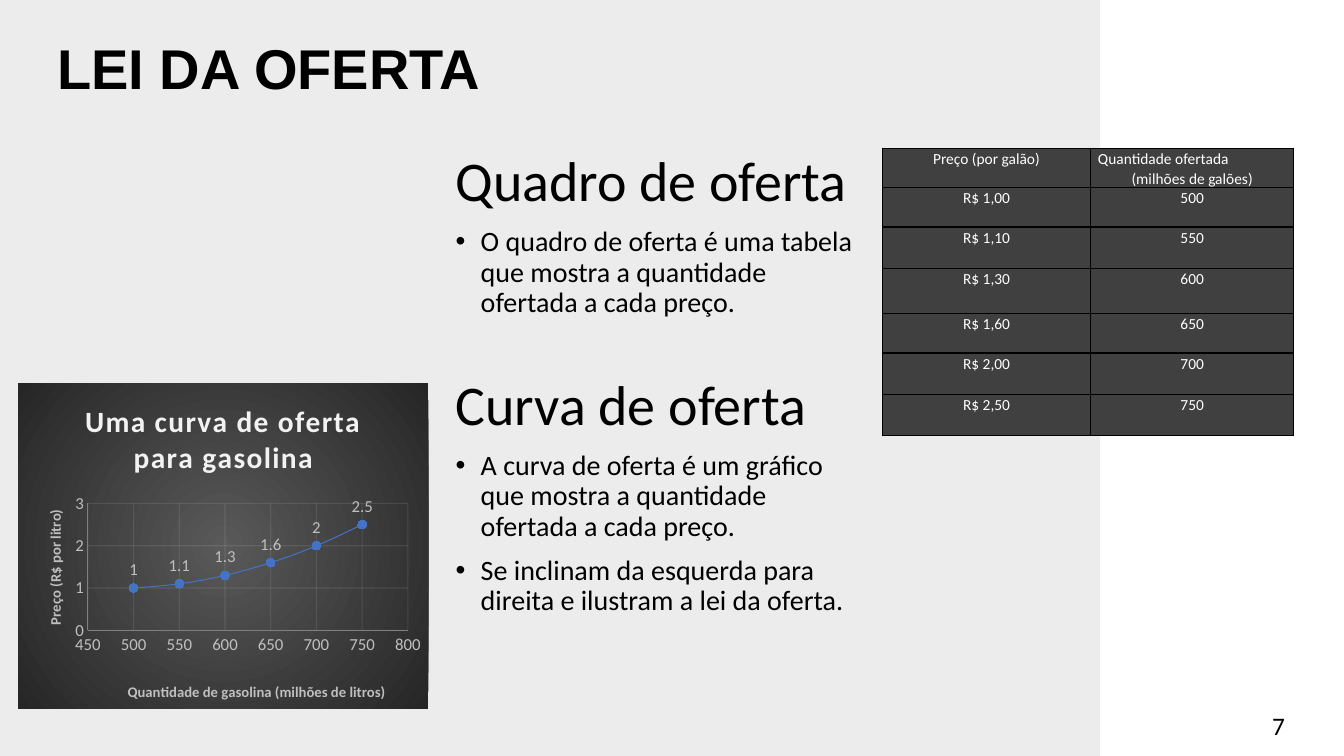
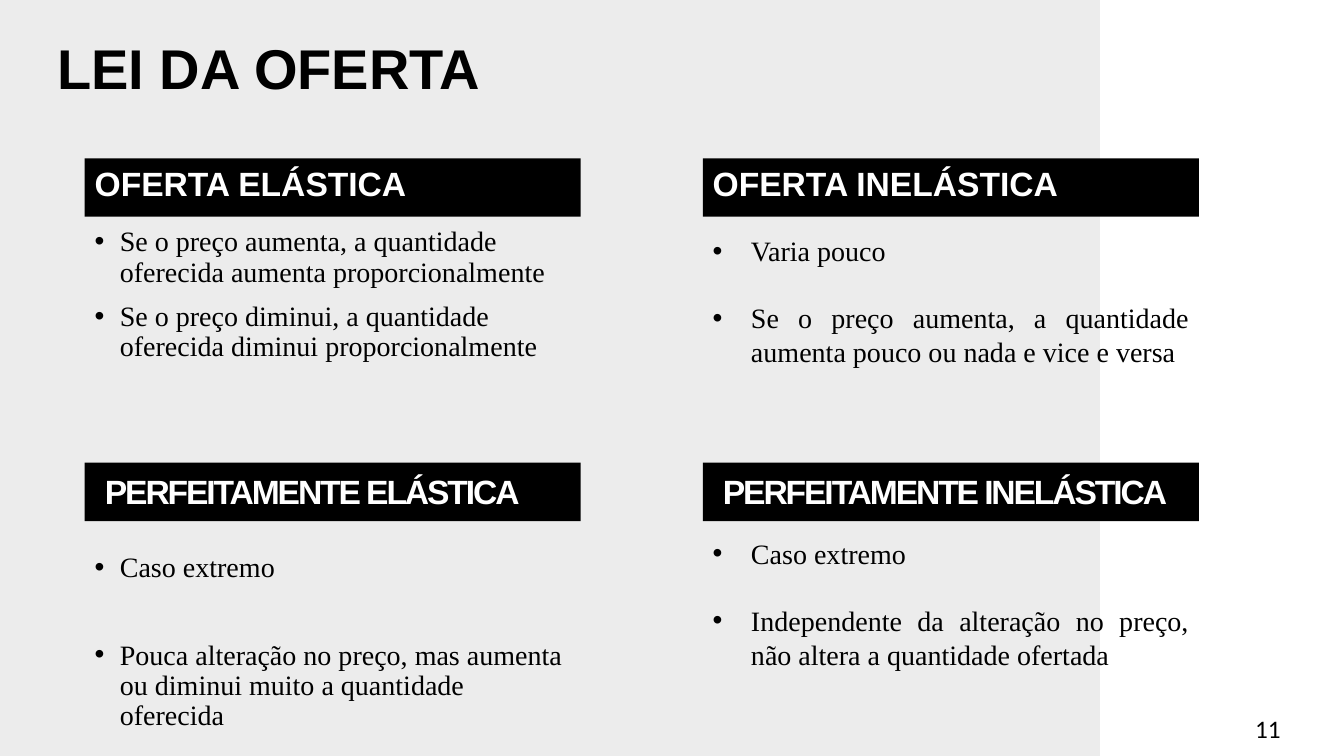
from pptx import Presentation
from pptx.chart.data import XyChartData
from pptx.dml.color import RGBColor
from pptx.enum.chart import XL_CHART_TYPE, XL_MARKER_STYLE, XL_TICK_MARK
from pptx.enum.shapes import MSO_SHAPE
from pptx.enum.text import MSO_ANCHOR, PP_ALIGN
from pptx.oxml import parse_xml
from pptx.oxml.ns import nsdecls, qn
from pptx.util import Inches, Pt

# Shared style; the grid unit is a tenth of an inch
HUES = {
    "ink": "000000", "paper": "FFFFFF", "panel": "ECECEC", "cell": "404040",
    "pale": "F2F2F2", "mute": "BFBFBF", "axis": "808080",
    "blue": "4472C4", "dot": "3E70CA", "glow": "595959", "edge": "262626",
}
FONTS = {
    "title": {"name": "Arial", "size": Pt(40), "bold": True},
    "head": {"name": "Calibri", "size": Pt(40)},
    "body": {"name": "Calibri", "size": Pt(20)},
    "page": {"name": "Calibri", "size": Pt(18)},
    "band": {"name": "Arial", "size": Pt(24), "bold": True},
    "serif": {"name": "Times New Roman", "size": Pt(20)},
    "cell": {"name": "Calibri", "size": Pt(11)},
    "chart": {"name": "Calibri", "size": Pt(21), "bold": True},
    "label": {"name": "Calibri", "size": Pt(10.5), "bold": True},
    "tick": {"name": "Calibri", "size": Pt(12), "bold": False},
}
PARAS = {
    "plain": {"line_spacing": 0.9, "alignment": PP_ALIGN.LEFT},
    "band": {"line_spacing": 1.0, "alignment": PP_ALIGN.LEFT},
    "list": {"line_spacing": 0.9, "space_before": Pt(10)},
    "wide": {"line_spacing": 0.9, "space_before": Pt(41)},
    "just": {"space_before": Pt(24), "alignment": PP_ALIGN.JUSTIFY},
    "mid": {"line_spacing": 1.07, "alignment": PP_ALIGN.CENTER},
    "left": {"line_spacing": 1.07, "alignment": PP_ALIGN.LEFT},
}


def unit(num):
    return Inches(num / 10)


def tint(name):
    return RGBColor.from_string(HUES[name])


def adjust(item, vals):
    for key, val in vals.items():
        setattr(item, key, val)


def style(font, kind, hue):
    adjust(font, FONTS[kind])
    font.color.rgb = tint(hue)


def place(item, index, box):
    """Put a chart part at shares of the chart's size."""
    old = item.find(qn("c:layout"))
    if old is not None:
        item.remove(old)
    inner = '<c:layoutTarget val="inner"/>' if len(box) == 4 else ""
    modes = "".join(f'<c:{k}Mode val="edge"/>' for k in "xy")
    vals = "".join(f'<c:{k} val="{v}"/>' for k, v in zip("xywh", box))
    item.insert(index, parse_xml(
        f'<c:layout {nsdecls("c")}><c:manualLayout>{inner}{modes}{vals}'
        '</c:manualLayout></c:layout>'))


class Deck:
    def __init__(self):
        self.show = Presentation()
        self.show.slide_width = Inches(13.33)
        self.show.slide_height = Inches(7.5)
        self.slide = None

    def page(self, title, num, box):
        self.slide = self.show.slides.add_slide(self.show.slide_layouts[6])
        self.rect((0, 0, 109.1, 75), "panel")
        self.text((4.7, 4.7, 103.5, 4.7), [(title, "title", "plain", 0)],
                  anchor=MSO_ANCHOR.MIDDLE)
        self.text(box, [(num, "page", "band", 0)])

    def rect(self, box, hue):
        shape = self.slide.shapes.add_shape(
            MSO_SHAPE.RECTANGLE, *map(unit, box))
        shape.shadow.inherit = False
        shape.fill.solid()
        shape.fill.fore_color.rgb = tint(hue)
        shape.line.fill.background()
        return shape

    def text(self, box, lines, anchor=MSO_ANCHOR.TOP):
        frame = self.slide.shapes.add_textbox(*map(unit, box)).text_frame
        adjust(frame, {"word_wrap": True, "vertical_anchor": anchor})
        self.lines(frame, lines)

    def lines(self, frame, lines, hue="ink"):
        """Each line is its words, font, paragraph style and bullet indent."""
        for i, (words, font, para, dent) in enumerate(lines):
            par = frame.paragraphs[0] if i == 0 else frame.add_paragraph()
            adjust(par, PARAS[para])
            if i == 0:
                par.space_before = Pt(0)
            if dent:
                props = par._p.get_or_add_pPr()
                props.set("marL", str(unit(dent)))
                props.set("indent", str(-unit(dent)))
                for tag in ('buFont typeface="Arial"', 'buChar char="•"'):
                    props.append(parse_xml(f'<a:{tag} {nsdecls("a")}/>'))
            run = par.add_run()
            run.text = words
            style(run.font, font, hue)

    def band(self, box, words, tight):
        frame = self.rect(box, "ink").text_frame
        adjust(frame, {"word_wrap": True, "vertical_anchor": MSO_ANCHOR.TOP})
        self.lines(frame, [(words, "band", "plain" if tight else "band", 0)],
                   "paper")
        if tight:
            adjust(frame, {"vertical_anchor": MSO_ANCHOR.MIDDLE,
                           "margin_left": unit(2), "margin_top": unit(0.4),
                           "margin_right": 0, "margin_bottom": 0})
            run = frame.paragraphs[0].runs[0]
            run._r.get_or_add_rPr().set("spc", "-150")

    def table(self, box, cols, rows, data):
        grid = self.slide.shapes.add_table(
            len(data), len(cols), *map(unit, box)).table
        adjust(grid, {"first_row": False, "horz_banding": False})
        for col, wide in zip(grid.columns, cols):
            col.width = unit(wide)
        for row, tall, vals in zip(grid.rows, rows, data):
            row.height = unit(tall)
            for cell, lines in zip(row.cells, vals):
                self.cell(cell, lines)

    def cell(self, cell, lines):
        adjust(cell, {"margin_left": unit(0.7), "margin_right": unit(0.7),
                      "margin_top": 0, "margin_bottom": 0})
        cell.fill.solid()
        cell.fill.fore_color.rgb = tint("cell")
        props = cell._tc.get_or_add_tcPr()
        for i, side in enumerate("LRTB"):
            props.insert(i, parse_xml(
                f'<a:ln{side} {nsdecls("a")} w="12700"><a:solidFill>'
                f'<a:srgbClr val="{HUES["ink"]}"/></a:solidFill></a:ln{side}>'))
        self.lines(cell.text_frame, lines, "paper")

    def chart(self, box, title, names, dots):
        data = XyChartData()
        line = data.add_series("Series 1")
        for x, y in dots:
            line.add_data_point(x, y)
        chart = self.slide.shapes.add_chart(
            XL_CHART_TYPE.XY_SCATTER_SMOOTH, *map(unit, box), data).chart
        chart.has_legend = False
        style(chart.font, "tick", "mute")
        chart.has_title = True
        self.label(chart.chart_title, title, "chart", "pale")
        run = chart.chart_title.text_frame.paragraphs[0].runs[0]
        run._r.get_or_add_rPr().set("spc", "100")
        # Axes
        axes = (chart.category_axis, chart.value_axis)
        spans = ((450, 800, 50), (0, 3, 1))
        spots = ((0.26, 0.91), (0.06, 0.38))
        for axis, span, name, spot in zip(axes, spans, names, spots):
            self.axis(axis, span, name, spot)
        turn = axes[1].axis_title._element.find(".//" + qn("a:bodyPr"))
        turn.set("rot", "-5400000")
        turn.set("vert", "horz")
        # Plot and backdrop
        root = chart._chartSpace
        place(root.find(".//" + qn("c:plotArea")), 0, (0.17, 0.37, 0.78, 0.39))
        stops = "".join(
            f'<a:gs pos="{pos}"><a:srgbClr val="{HUES[hue]}"/></a:gs>'
            for pos, hue in ((0, "glow"), (100000, "edge")))
        root.find(qn("c:chart")).addnext(parse_xml(
            f'<c:spPr {nsdecls("c", "a")}><a:gradFill><a:gsLst>{stops}'
            '</a:gsLst><a:path path="circle"><a:fillToRect l="50000" t="50000"'
            ' r="50000" b="50000"/></a:path></a:gradFill>'
            '<a:ln><a:noFill/></a:ln></c:spPr>'))
        self.curve(chart.plots[0])

    def label(self, part, words, font, hue):
        run = part.text_frame.paragraphs[0].add_run()
        run.text = words
        style(run.font, font, hue)

    def axis(self, axis, span, name, spot):
        low, high, step = span
        adjust(axis, {"minimum_scale": low, "maximum_scale": high,
                      "major_unit": step, "has_major_gridlines": True,
                      "major_tick_mark": XL_TICK_MARK.NONE,
                      "minor_tick_mark": XL_TICK_MARK.NONE, "has_title": True})
        style(axis.tick_labels.font, "tick", "mute")
        for part, hue in ((axis, "axis"), (axis.major_gridlines, "pale")):
            part.format.line.width = Pt(0.75)
            part.format.line.color.rgb = tint(hue)
        fade = axis._element.find(
            f'{qn("c:majorGridlines")}//{qn("a:srgbClr")}')
        fade.append(parse_xml(f'<a:alpha {nsdecls("a")} val="10000"/>'))
        self.label(axis.axis_title, name, "label", "mute")
        place(axis.axis_title._element, 1, spot)

    def curve(self, plot):
        plot.vary_by_categories = False
        line = plot.series[0]
        line.format.line.width = Pt(0.75)
        line.format.line.color.rgb = tint("blue")
        adjust(line.marker, {"style": XL_MARKER_STYLE.CIRCLE, "size": 6})
        line.marker.format.fill.solid()
        line.marker.format.fill.fore_color.rgb = tint("dot")
        line.marker.format.line.fill.background()
        ser = line._element
        ser.find(qn("c:smooth")).set("val", "1")
        shows = "".join(
            f'<c:show{key} val="{int(key == "Val")}"/>' for key in
            ("LegendKey", "Val", "CatName", "SerName", "Percent", "BubbleSize"))
        ser.find(qn("c:xVal")).addprevious(parse_xml(
            f'<c:dLbls {nsdecls("c", "a")}><c:txPr><a:bodyPr/><a:p><a:pPr>'
            '<a:defRPr sz="1200" b="0"><a:solidFill>'
            f'<a:srgbClr val="{HUES["mute"]}"/></a:solidFill>'
            '<a:latin typeface="Calibri"/></a:defRPr></a:pPr></a:p></c:txPr>'
            f'<c:dLblPos val="t"/>{shows}</c:dLbls>'))


def supply(deck):
    """Supply table and curve."""
    deck.page("LEI DA OFERTA", "7", (125.2, 70, 3, 3))
    parts = (
        ("Quadro de oferta",
         ["O quadro de oferta é uma tabela que mostra a quantidade "
          "ofertada a cada preço."]),
        ("Curva de oferta",
         ["A curva de oferta é um gráfico que mostra a quantidade "
          "ofertada a cada preço.",
          "Se inclinam da esquerda para direita e ilustram a lei da oferta."]),
    )
    for i, (head, items) in enumerate(parts):
        lines = [(head, "head", "plain", 0)]
        lines += [(item, "body", "list", 2.5) for item in items]
        deck.text((44.2, 14.7 + 22.2 * i, 41.7, 22), lines)
    dots = list(zip(range(500, 800, 50), (1, 1.1, 1.3, 1.6, 2, 2.5)))
    data = [[[("Preço (por galão)", "cell", "mid", 0)],
             [("Quantidade ofertada", "cell", "left", 0),
              ("(milhões de galões)", "cell", "mid", 0)]]]
    for amount, price in dots:
        cash = f"R$ {price:.2f}".replace(".", ",")
        data.append([[(val, "cell", "mid", 0)] for val in (cash, str(amount))])
    deck.table((87.5, 14.7, 40.8, 28.4), (20.7, 20.1),
               (3.9, 3.9, 4.1, 4.5, 3.9, 4.1, 4.1), data)
    deck.chart((1.8, 38, 40.7, 32.3), "Uma curva de oferta para gasolina",
               ("Quantidade de gasolina (milhões de litros)",
                "Preço (R$ por litro)"), dots)


def kinds(deck):
    """Four kinds of supply, two by two."""
    deck.page("LEI DA OFERTA", "11", (123.5, 70.3, 4.8, 2.7))
    cards = (
        ("OFERTA ELÁSTICA", 22.1, "list",
         ("Se o preço aumenta, a quantidade oferecida aumenta "
          "proporcionalmente",
          "Se o preço diminui, a quantidade oferecida diminui "
          "proporcionalmente")),
        ("OFERTA INELÁSTICA", 22.7, "just",
         ("Varia pouco",
          "Se o preço aumenta, a quantidade aumenta pouco ou nada e vice e "
          "versa")),
        ("PERFEITAMENTE ELÁSTICA", 54.4, "wide",
         ("Caso extremo",
          "Pouca alteração no preço, mas aumenta ou diminui muito a "
          "quantidade oferecida")),
        ("PERFEITAMENTE INELÁSTICA", 52.7, "just",
         ("Caso extremo",
          "Independente da alteração no preço, não altera a quantidade "
          "ofertada")),
    )
    for i, (head, top, para, items) in enumerate(cards):
        row, col = divmod(i, 2)
        left = 8.4 + 61.3 * col
        deck.band((left, 15.7 + 30.2 * row, 49.2, 5.8), head, row == 1)
        dent = 3.8 if col else 2.5
        deck.text((left, top, 49.2, 18),
                  [(item, "serif", para, dent) for item in items])


def main():
    deck = Deck()
    supply(deck)
    kinds(deck)
    deck.show.save("out.pptx")


if __name__ == "__main__":
    main()
